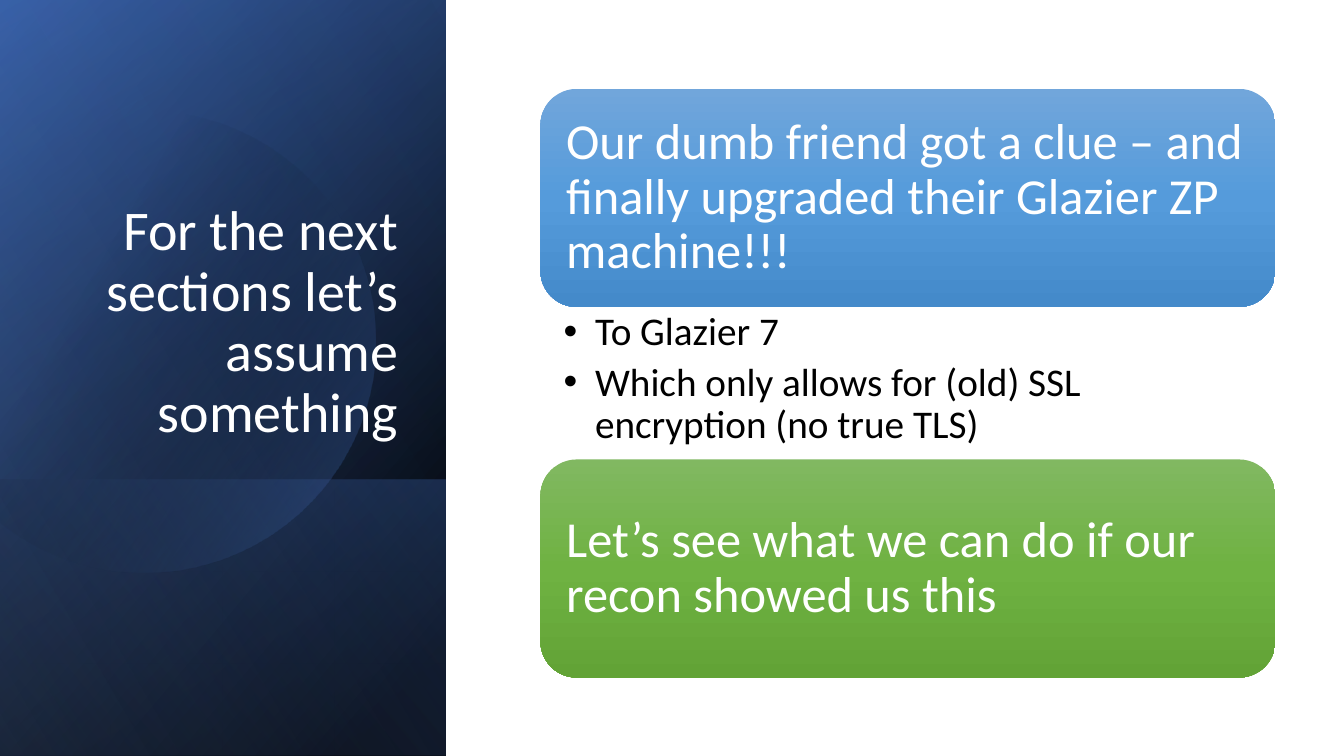
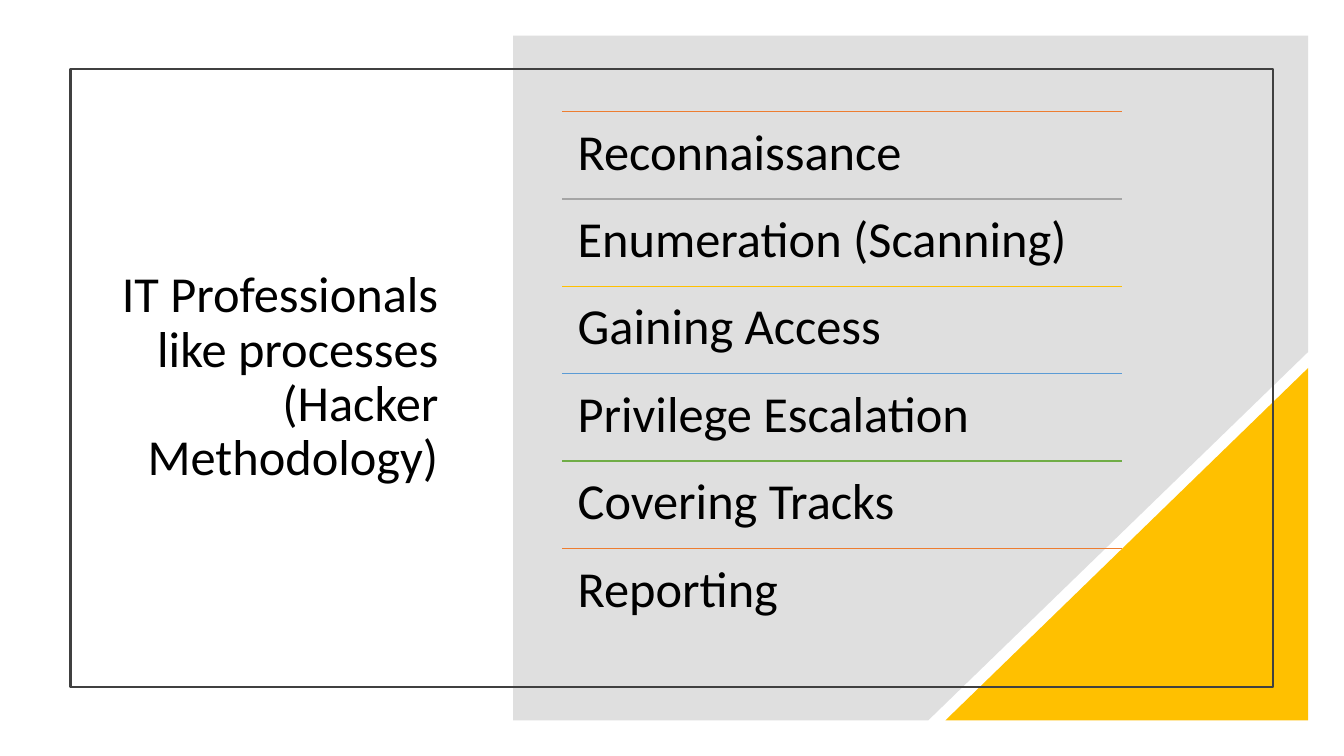
from dataclasses import dataclass
from math import acos, cos, pi, sin

from lxml.etree import SubElement
from pptx import Presentation
from pptx.dml.color import RGBColor
from pptx.enum.shapes import MSO_CONNECTOR, MSO_SHAPE
from pptx.enum.text import MSO_ANCHOR, MSO_AUTO_SIZE, PP_ALIGN
from pptx.oxml.ns import qn
from pptx.shapes.autoshape import Shape
from pptx.slide import Slide
from pptx.text.text import TextFrame
from pptx.util import Pt

FONT = "Calibri"
BLACK = RGBColor(0x00, 0x00, 0x00)
WHITE = RGBColor(0xFF, 0xFF, 0xFF)
NAVY = RGBColor(0x2F, 0x55, 0x97)
BLUE = RGBColor(0x44, 0x72, 0xC4)
PALE_BLUE = RGBColor(0x8F, 0xAA, 0xDC)
PANEL_GREY = RGBColor(0xDF, 0xDF, 0xDF)
FRAME_GREY = RGBColor(0x40, 0x40, 0x40)
ORANGE = RGBColor(0xED, 0x7D, 0x31)
GREY = RGBColor(0xA5, 0xA5, 0xA5)
GOLD = RGBColor(0xFF, 0xC0, 0x00)
SKY = RGBColor(0x5B, 0x9B, 0xD5)
GREEN = RGBColor(0x70, 0xAD, 0x47)

SLIDE_W, SLIDE_H = 960, 540
INSET = 10.8


@dataclass(frozen=True)
class Box:
    x: float
    y: float
    w: float
    h: float

    def emu(self) -> tuple[Pt, Pt, Pt, Pt]:
        return Pt(self.x), Pt(self.y), Pt(self.w), Pt(self.h)


@dataclass(frozen=True)
class Stop:
    pos: int
    color: RGBColor
    alpha: int = 100


@dataclass(frozen=True)
class Layer:
    box: Box
    angle: int
    stops: tuple[Stop, ...]


@dataclass(frozen=True)
class Card:
    y: float
    text: str
    stops: tuple[Stop, ...]


@dataclass(frozen=True)
class Step:
    text: str
    color: RGBColor


PANEL = Box(0, 0, 318.5, SLIDE_H)
LAYERS = (
    Layer(PANEL, 220, (Stop(8, BLACK), Stop(100, NAVY))),
    Layer(PANEL, 240, (Stop(0, BLACK, 0), Stop(99, BLUE, 46))),
    Layer(Box(0, 342.7, 318.5, 197.3), 140, (Stop(2, BLUE, 29), Stop(100, BLACK, 30))),
)
DISC_STOPS = (Stop(29, BLACK, 0), Stop(100, BLUE, 43))
SHEEN = Layer(PANEL, 150, (Stop(0, BLACK, 0), Stop(99, PALE_BLUE, 11)))

CARD_X, CARD_W, CARD_H = 386, 525, 155.8
CARDS = (
    Card(63.5, "Our dumb friend got a clue – and finally upgraded their Glazier ZP machine!!!",
         (Stop(0, RGBColor(0x71, 0xA6, 0xDB)), Stop(50, RGBColor(0x55, 0x9B, 0xDB)),
          Stop(100, RGBColor(0x44, 0x8A, 0xCA)))),
    Card(328.2, "Let’s see what we can do if our recon showed us this",
         (Stop(0, RGBColor(0x81, 0xB8, 0x61)), Stop(50, RGBColor(0x6F, 0xB2, 0x42)),
          Stop(100, RGBColor(0x62, 0xA3, 0x36)))),
)
BULLETS = ("To Glazier 7", "Which only allows for (old) SSL encryption (no true TLS)")

STEP_X, STEP_Y, STEP_W, STEP_H = 401.8, 79.7, 399.6, 62.4
STEPS = (
    Step("Reconnaissance", ORANGE),
    Step("Enumeration (Scanning)", GREY),
    Step("Gaining Access", GOLD),
    Step("Privilege Escalation", SKY),
    Step("Covering Tracks", GREEN),
    Step("Reporting", ORANGE),
)


def write(tf: TextFrame, *texts: str, size: float = 36, color: RGBColor = BLACK,
          align: PP_ALIGN = PP_ALIGN.LEFT, anchor: MSO_ANCHOR = MSO_ANCHOR.TOP,
          insets: tuple[float, float, float, float] = (INSET,) * 4,
          after: float = 0, bullet_indent: float = 0) -> None:
    tf.word_wrap = True
    tf.auto_size = MSO_AUTO_SIZE.NONE
    tf.vertical_anchor = anchor
    tf.margin_left, tf.margin_top, tf.margin_right, tf.margin_bottom = map(Pt, insets)
    for i, text in enumerate(texts):
        p = tf.paragraphs[0] if i == 0 else tf.add_paragraph()
        p.alignment = align
        p.line_spacing = 0.9
        p.space_before = Pt(0)
        p.space_after = Pt(after)
        if bullet_indent:
            pPr = p._p.get_or_add_pPr()
            pPr.set("marL", str(Pt(bullet_indent)))
            pPr.set("indent", str(-Pt(bullet_indent)))
            SubElement(pPr, qn("a:buFont"), typeface="Arial")
            SubElement(pPr, qn("a:buChar"), char="•")
        r = p.add_run()
        r.text = text
        r.font.name = FONT
        r.font.size = Pt(size)
        r.font.color.rgb = color


def plain(sp: Shape, fill: RGBColor | None = None) -> Shape:
    sp.shadow.inherit = False
    sp.line.fill.background()
    if fill is None:
        sp.fill.background()
    else:
        sp.fill.solid()
        sp.fill.fore_color.rgb = fill
    return sp


def add_box(s: Slide, box: Box, kind: MSO_SHAPE = MSO_SHAPE.RECTANGLE,
            fill: RGBColor | None = None) -> Shape:
    return plain(s.shapes.add_shape(kind, *box.emu()), fill)


def add_outline(s: Slide, points: list[tuple[float, float]],
                fill: RGBColor | None = None) -> Shape:
    start, *rest = [(Pt(x), Pt(y)) for x, y in points]
    builder = s.shapes.build_freeform(*start)
    builder.add_line_segments(rest, close=True)
    return plain(builder.convert_to_shape(), fill)


def set_gradient(sp: Shape, stops: tuple[Stop, ...], angle: int) -> None:
    spPr = sp._element.spPr
    grad = SubElement(spPr, qn("a:gradFill"), rotWithShape="1")
    gs_lst = SubElement(grad, qn("a:gsLst"))
    for stop in stops:
        gs = SubElement(gs_lst, qn("a:gs"), pos=str(stop.pos * 1000))
        clr = SubElement(gs, qn("a:srgbClr"), val=str(stop.color))
        if stop.alpha < 100:
            SubElement(clr, qn("a:alpha"), val=str(stop.alpha * 1000))
    SubElement(grad, qn("a:lin"), ang=str(angle * 60000), scaled="0")
    spPr.replace(spPr.find(qn("a:noFill")), grad)


def add_layer(s: Slide, layer: Layer) -> None:
    set_gradient(add_box(s, layer.box), layer.stops, layer.angle)


def add_disc(s: Slide, cx: float, cy: float, radius: float) -> None:
    edge = acos(-cx / radius)
    angles = [-edge + 2 * edge * i / 120 for i in range(121)]
    assert edge < pi
    sp = add_outline(s, [(cx + radius * cos(a), cy + radius * sin(a)) for a in angles])
    set_gradient(sp, DISC_STOPS, 30)


def add_rule(s: Slide, x: float, y: float, w: float, color: RGBColor) -> None:
    line = s.shapes.add_connector(MSO_CONNECTOR.STRAIGHT, Pt(x), Pt(y), Pt(x + w), Pt(y))
    line.line.color.rgb = color
    line.line.width = Pt(1)
    SubElement(line._element.spPr, qn("a:effectLst"))


def add_title(s: Slide, text: str, box: Box, size: float, color: RGBColor,
              anchor: MSO_ANCHOR) -> None:
    title = s.shapes.title
    title.left, title.top, title.width, title.height = box.emu()
    write(title.text_frame, text, size=size, color=color, align=PP_ALIGN.RIGHT,
          anchor=anchor, insets=(7.2, 3.6, 7.2, 3.6))
    tree = title._element.getparent()
    tree.append(title._element)


def build_assumption(s: Slide) -> None:
    for layer in LAYERS:
        add_layer(s, layer)
    add_disc(s, 103, 244, 165)
    add_layer(s, SHEEN)
    add_title(s, "For the next sections let’s assume something",
              Box(46, 132.5, 245.5, 188.6), 40, WHITE, MSO_ANCHOR.BOTTOM)
    for card in CARDS:
        sp = add_box(s, Box(CARD_X, card.y, CARD_W, CARD_H), MSO_SHAPE.ROUNDED_RECTANGLE)
        set_gradient(sp, card.stops, 90)
        write(sp.text_frame, card.text, color=WHITE, anchor=MSO_ANCHOR.MIDDLE)
    bullets_y = CARDS[0].y + CARD_H
    tb = s.shapes.add_textbox(
        *Box(CARD_X, bullets_y, CARD_W, CARDS[1].y - bullets_y).emu())
    write(tb.text_frame, *BULLETS, size=28, insets=(16.6, 3.6, 20.2, 3.6),
          after=5.6, bullet_indent=22.5)


def build_methodology(s: Slide) -> None:
    add_title(s, "IT Professionals like processes (Hacker Methodology)",
              Box(79.2, 93.6, 241.2, 352.8), 36, BLACK, MSO_ANCHOR.MIDDLE)
    left, top, right, bottom = 366.5, 25.5, 934.5, 514.5
    add_outline(s, [(left, top), (right, top), (right, 251.3), (663.1, bottom),
                    (left, bottom)], PANEL_GREY)
    corner = add_box(s, Box(675.4, 262.8, right - 675.4, bottom - 262.8),
                     MSO_SHAPE.RIGHT_TRIANGLE, GOLD)
    corner._element.spPr.find(qn("a:xfrm")).set("flipH", "1")
    frame = add_box(s, Box(50.4, 49.2, 859, 441.4))
    frame.line.color.rgb = FRAME_GREY
    frame.line.width = Pt(1.5)
    for i, step in enumerate(STEPS):
        y = STEP_Y + i * STEP_H
        add_rule(s, STEP_X, y, STEP_W, step.color)
        tb = s.shapes.add_textbox(*Box(STEP_X, y, STEP_W, STEP_H).emu())
        write(tb.text_frame, step.text)


def main() -> None:
    prs = Presentation()
    prs.slide_width, prs.slide_height = Pt(SLIDE_W), Pt(SLIDE_H)
    for build in (build_assumption, build_methodology):
        build(prs.slides.add_slide(prs.slide_layouts[5]))
    prs.save("out.pptx")


if __name__ == "__main__":
    main()
